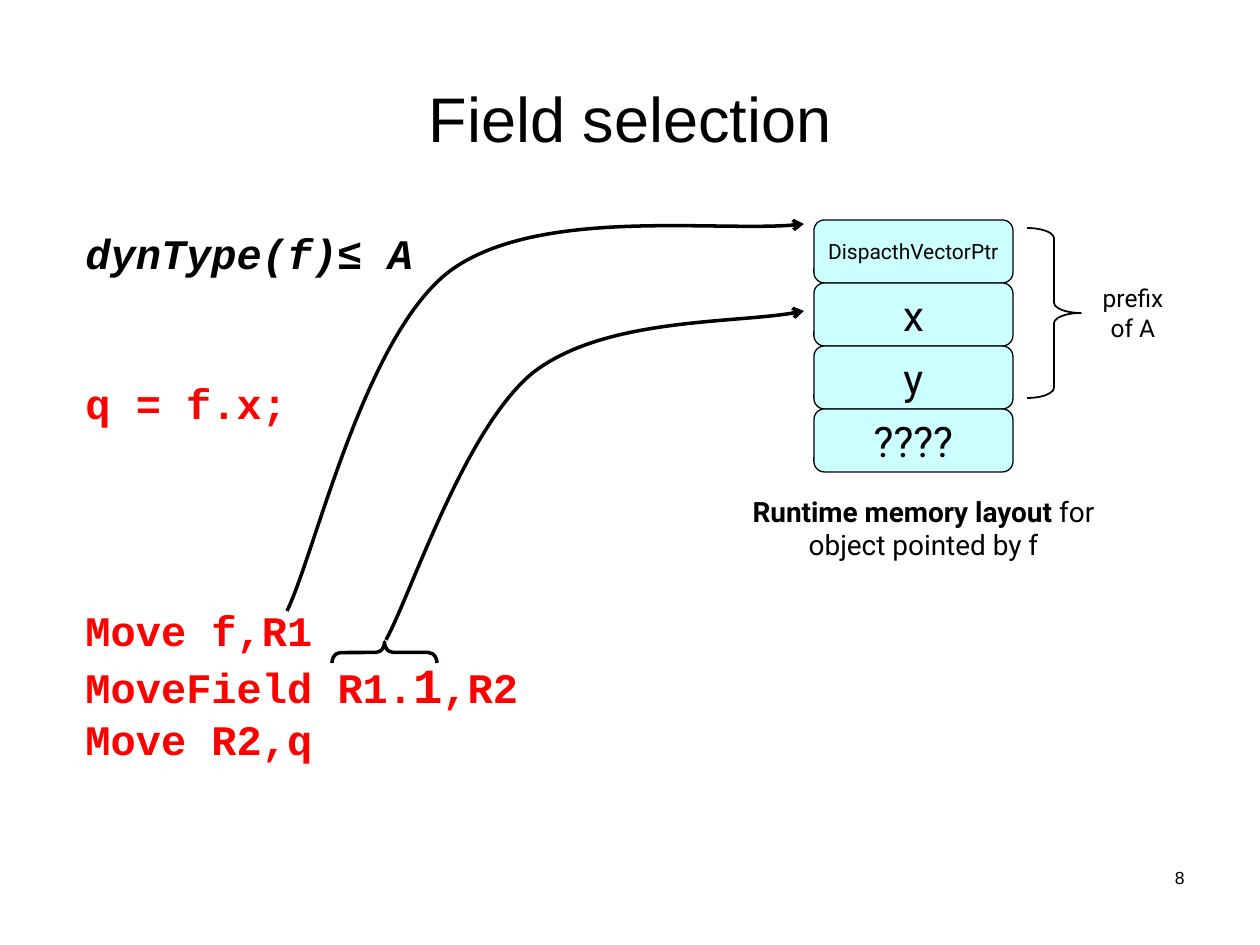
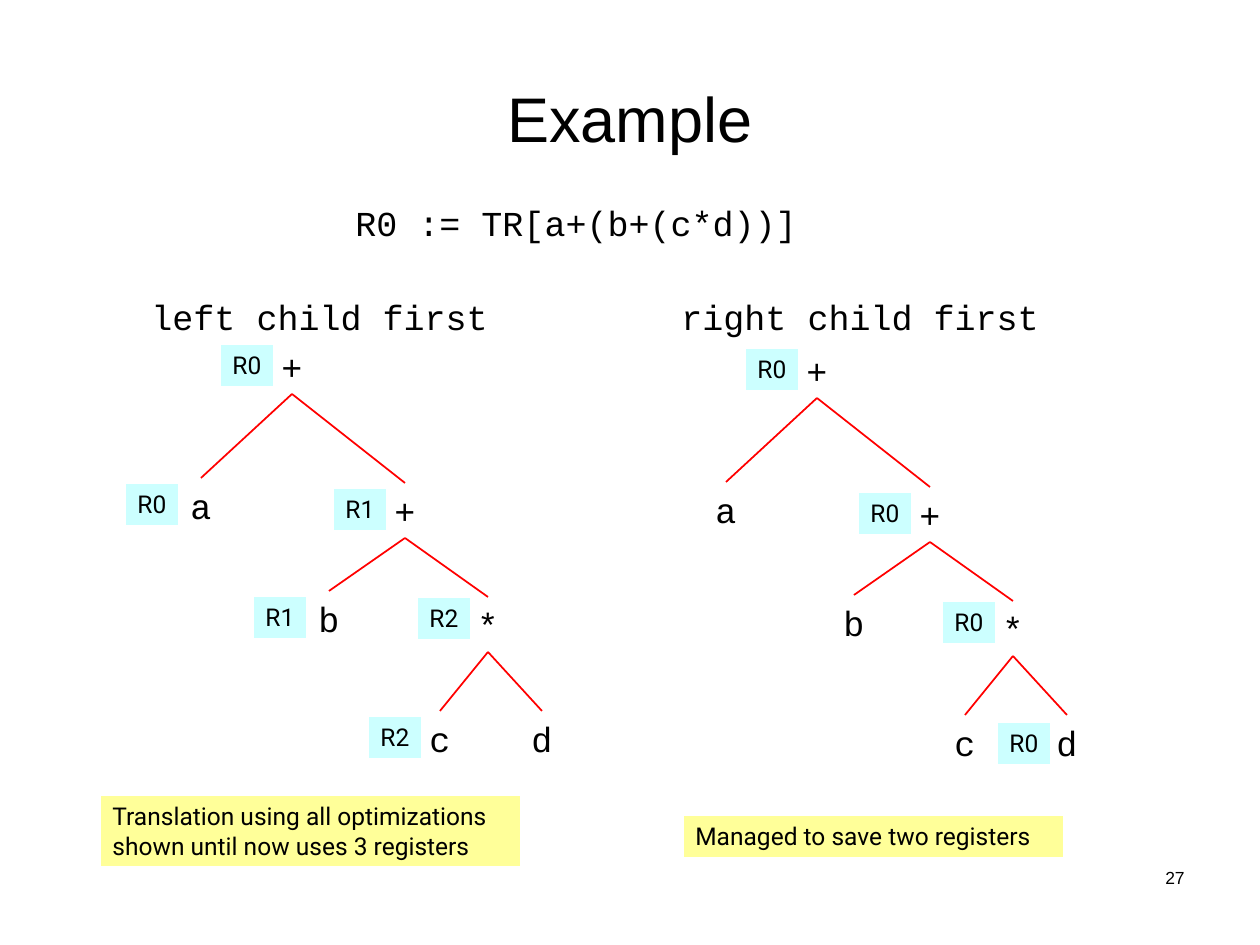
"""Build two compiler slides: field selection and register allocation order."""
from dataclasses import dataclass, replace

from lxml.etree import SubElement
from pptx import Presentation
from pptx.dml.color import RGBColor
from pptx.enum.shapes import MSO_CONNECTOR, MSO_SHAPE
from pptx.enum.text import MSO_ANCHOR, MSO_AUTO_SIZE, PP_ALIGN
from pptx.oxml.ns import qn
from pptx.util import Inches, Pt

PX = 914400 / 126
BLACK = RGBColor(0, 0, 0)
WHITE = RGBColor(255, 255, 255)
RED = RGBColor(255, 0, 0)
CYAN = RGBColor(0xCC, 0xFF, 0xFF)
YELLOW = RGBColor(0xFF, 0xFF, 0x99)


@dataclass(frozen=True)
class Style:
    """Character formatting of a run."""
    font: str
    size: int
    color: RGBColor = BLACK
    bold: bool = False
    italic: bool = False


TITLE = Style("Arial", 36)
NUMBER = Style("Arial", 10)
CODE = Style("Courier New", 24, RED, bold=True)
CONDITION = replace(CODE, color=BLACK, italic=True)
FORMULA = Style("Courier New", 20)
CELL = Style("Roboto", 24)
CAPTION = Style("Roboto", 16)
LABEL = Style("Roboto", 14)

SOURCE_CODE = [[("dynType(f)≤ A", CONDITION)], [("q = f.x;", CODE)]]
TARGET_CODE = [
    [("Move f,R1", CODE)],
    [("MoveField R1.", CODE), ("1", replace(CODE, size=28)), (",R2", CODE)],
    [("Move R2,q", CODE)],
]
LAYOUT_CAPTION = [[("Runtime memory layout", replace(CAPTION, bold=True)),
                   (" for object pointed by f", CAPTION)]]
MEMORY_CELLS = [("DispacthVectorPtr", replace(CELL, size=12)),
                ("x", CELL), ("y", CELL), ("????", CELL)]
POINTERS = [
    [(287, 611), (315, 554), (364, 336), (450, 271), (537, 207), (730, 234), (804, 224)],
    [(386, 640), (411, 595), (465, 427), (534, 372), (605, 318), (747, 324), (804, 311)],
]

NODES = {
    "root": ("+", 292, 339), "a": ("a", 201, 478), "sum": ("+", 405, 483),
    "b": ("b", 329, 591), "product": ("*", 488, 597),
    "c": ("c", 440, 711), "d": ("d", 542, 711),
}
EDGES = [("root", "a"), ("root", "sum"), ("sum", "b"), ("sum", "product"),
         ("product", "c"), ("product", "d")]
BADGE_SHIFTS = {"a": (76, 5), "b": (76, 5), "product": (71, 0), "d": (70, 7)}
TREES = [
    {"heading": "left child first", "heading_box": (139, 289, 362, 55), "offset": (0, 0),
     "registers": {"root": "R0", "a": "R0", "sum": "R1", "b": "R1", "product": "R2", "c": "R2"},
     "note": "Translation using all optimizations\vshown until now uses 3 registers",
     "note_box": (100, 795, 421, 72)},
    {"heading": "right child first", "heading_box": (669, 289, 383, 55), "offset": (525, 4),
     "registers": {"root": "R0", "sum": "R0", "product": "R0", "d": "R0"},
     "note": "Managed to save two registers", "note_box": (683, 815, 381, 43)},
]


def emu(*lengths):
    return [round(length * PX) for length in lengths]


def write(shape, lines, align=PP_ALIGN.LEFT, anchor=MSO_ANCHOR.TOP, wrap=False):
    frame = shape.text_frame
    frame.word_wrap = wrap
    frame.vertical_anchor = anchor
    for index, line in enumerate(lines):
        paragraph = frame.add_paragraph() if index else frame.paragraphs[0]
        paragraph.alignment = align
        for text, style in line:
            if len(line) == 1:
                paragraph.text = text
                runs = paragraph.runs
            else:
                run = paragraph.add_run()
                run.text = text
                runs = [run]
            for run in runs:
                run.font.name = style.font
                run.font.size = Pt(style.size)
                run.font.color.rgb = style.color
                run.font.bold = style.bold
                run.font.italic = style.italic
    return frame


def add_text(slide, box, lines, **layout):
    frame = write(slide.shapes.add_textbox(*emu(*box)), lines, **layout)
    if not frame.word_wrap:
        frame.auto_size = MSO_AUTO_SIZE.SHAPE_TO_FIT_TEXT
    return frame


def add_box(slide, kind, box, fill, line, width):
    shape = slide.shapes.add_shape(kind, *emu(*box))
    shape.shadow.inherit = False
    if fill is None:
        shape.fill.background()
    else:
        shape.fill.solid()
        shape.fill.fore_color.rgb = fill
    shape.line.color.rgb = line
    shape.line.width = Pt(width)
    return shape


def add_brace(slide, kind, box, width, curl, rotation=0):
    brace = add_box(slide, kind, box, None, BLACK, width)
    brace.adjustments[0] = curl
    brace.rotation = rotation


def add_pointer(slide, points):
    builder = slide.shapes.build_freeform(*points[0], scale=PX)
    builder.add_line_segments(points[1:], close=False)
    pointer = builder.convert_to_shape()
    pointer.shadow.inherit = False
    pointer.fill.background()
    pointer.line.color.rgb = BLACK
    pointer.line.width = Pt(2)
    outline = next(pointer.element.iter(qn("a:path")))
    segments = outline.findall(qn("a:lnTo"))
    for start in range(0, len(segments), 3):
        curve = SubElement(outline, qn("a:cubicBezTo"))
        for segment in segments[start:start + 3]:
            curve.append(segment[0])
            outline.remove(segment)
    SubElement(pointer.element.spPr.find(qn("a:ln")), qn("a:tailEnd"), type="arrow")


def add_edge(slide, start, end):
    edge = slide.shapes.add_connector(MSO_CONNECTOR.STRAIGHT, *emu(*start, *end))
    edge.line.color.rgb = RED
    edge.line.width = Pt(1)
    SubElement(edge.element.spPr, qn("a:effectLst"))


def new_slide(deck, heading, number):
    slide = deck.slides.add_slide(deck.slide_layouts[5])
    title = slide.shapes.title
    title.left, title.top, title.width, title.height = emu(63, 38, 1134, 158)
    write(title, [[(heading, TITLE)]], PP_ALIGN.CENTER, MSO_ANCHOR.MIDDLE, True)
    add_text(slide, (903, 861, 294, 63), [[(number, NUMBER)]],
             align=PP_ALIGN.RIGHT, wrap=True)
    return slide


def build_field_selection(deck):
    slide = new_slide(deck, "Field selection", "8")
    source = add_text(slide, (73, 221, 353, 214), SOURCE_CODE)
    source.paragraphs[1].space_before = Pt(57)
    add_text(slide, (73, 598, 462, 173), TARGET_CODE)
    add_text(slide, (703, 488, 441, 81), LAYOUT_CAPTION, align=PP_ALIGN.CENTER, wrap=True)
    for points in POINTERS:
        add_pointer(slide, points)
    add_brace(slide, MSO_SHAPE.LEFT_BRACE, (374, 600, 21, 105), 2, 0.41, 90)
    for row, cell in enumerate(MEMORY_CELLS):
        box = add_box(slide, MSO_SHAPE.ROUNDED_RECTANGLE, (814, 220 + 63 * row, 199, 63),
                      CYAN, BLACK, 0.75)
        write(box, [[cell]], PP_ALIGN.CENTER, MSO_ANCHOR.MIDDLE)
    add_brace(slide, MSO_SHAPE.RIGHT_BRACE, (1027, 228, 54, 170), 1, 0.19)
    add_text(slide, (1087, 277, 92, 72), [[("prefix\vof A", LABEL)]], align=PP_ALIGN.CENTER)


def add_tree(slide, tree):
    dx, dy = tree["offset"]
    add_text(slide, tree["heading_box"], [[(tree["heading"], FORMULA)]])
    for parent, child in EDGES:
        (_, x1, y1), (_, x2, y2) = NODES[parent], NODES[child]
        add_edge(slide, (x1 + dx, y1 + dy + 55), (x2 + dx, y2 + dy))
    for key, (symbol, x, y) in NODES.items():
        add_text(slide, (x + dx - 23, y + dy, 46, 55), [[(symbol, FORMULA)]])
        if key in tree["registers"]:
            left, down = BADGE_SHIFTS.get(key, (72, 5))
            badge = add_box(slide, MSO_SHAPE.RECTANGLE,
                            (x + dx - left, y + dy + down, 54, 43), CYAN, WHITE, 1)
            write(badge, [[(tree["registers"][key], LABEL)]])
    note = add_box(slide, MSO_SHAPE.RECTANGLE, tree["note_box"], YELLOW, WHITE, 1)
    write(note, [[(tree["note"], LABEL)]], wrap=True)


def build_example(deck):
    slide = new_slide(deck, "Example", "27")
    add_text(slide, (343, 195, 467, 55), [[("R0 := TR[a+(b+(c*d))]", FORMULA)]])
    for tree in TREES:
        add_tree(slide, tree)


def main():
    deck = Presentation()
    deck.slide_width, deck.slide_height = Inches(10), Inches(7.5)
    build_field_selection(deck)
    build_example(deck)
    deck.save("out.pptx")


if __name__ == "__main__":
    main()
